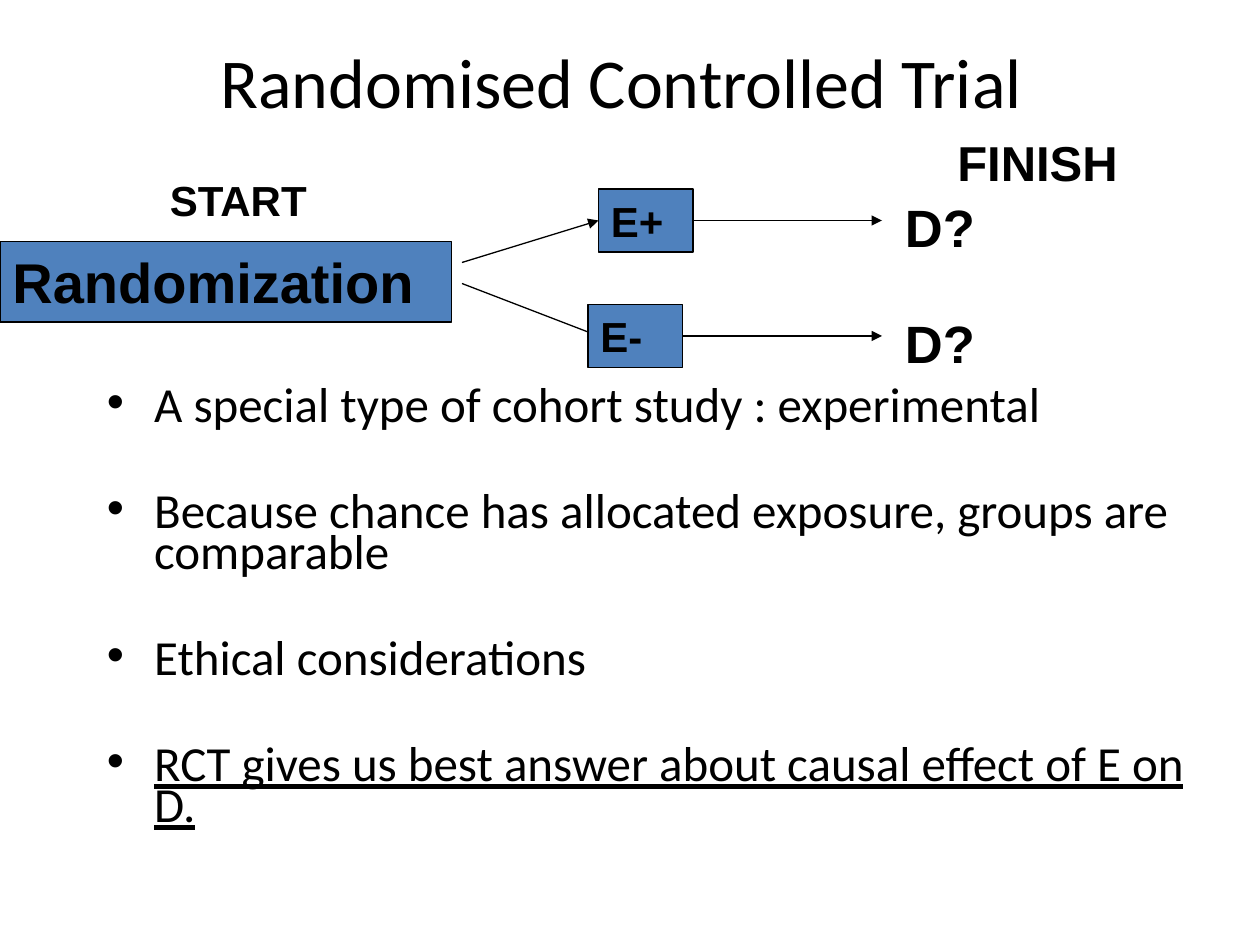
from typing import NamedTuple, Optional

from pptx import Presentation
from pptx import util as u
from pptx.dml.color import RGBColor
from pptx.enum import shapes, text
from pptx.oxml import parse_xml
from pptx.oxml.ns import nsdecls

COLORS = {"ink": "000000", "box": "4F81BD", "page": "FFFFFF"}


class Label(NamedTuple):
    words: str
    left: float
    top: float
    width: float
    height: float
    size: float
    font: str = "Arial"
    bold: bool = True


class Arrow(NamedTuple):
    start: tuple[float, float]
    end: tuple[float, float]


TITLE = Label("Randomised Controlled Trial", 31, 1, 648, 90, 40, "Calibri", False)
CAPTIONS = [
    Label("D?", 510, 108, 66, 43, 30),
    Label("D?", 510, 174, 66, 43, 30),
    Label("FINISH", 540, 72, 132, 41, 28),
    Label("START", 90, 96, 150, 36, 24),
]
RANDOMIZATION = Label("Randomization", 0, 138, 258, 46, 32)
EXPOSED = Label("E+", 342, 108, 54, 36, 24)
UNEXPOSED = Label("E-", 336, 174, 54, 36, 24)
TO_EXPOSED = Arrow((264, 150), (342, 126))
TO_UNEXPOSED = Arrow((264, 162), (342, 192))
EXPOSED_OUTCOME = Arrow((396, 126), (504, 126))
UNEXPOSED_OUTCOME = Arrow((390, 192), (504, 192))
POINTS = [
    "A special type of cohort study : experimental",
    "Because chance has allocated exposure, groups are comparable",
    "Ethical considerations",
    "RCT gives us best answer about causal effect of E on D.",
]


def rgb(name: str) -> RGBColor:
    return RGBColor.from_string(COLORS[name])


def format_runs(paragraph, size: float, font: str, bold: bool) -> None:
    for run in paragraph.runs:
        run.font.size = u.Pt(size)
        run.font.name = font
        run.font.bold = bold
        run.font.color.rgb = rgb("ink")


def write_label(shape, label: Label, align) -> None:
    frame = shape.text_frame
    frame.word_wrap = True
    frame.text = label.words
    frame.paragraphs[0].alignment = align
    format_runs(frame.paragraphs[0], label.size, label.font, label.bold)


def bounds(label: Label) -> list[int]:
    return [u.Pt(v) for v in (label.left, label.top, label.width, label.height)]


def add_caption(slide, label: Label, align=text.PP_ALIGN.LEFT,
                anchor=text.MSO_ANCHOR.TOP) -> None:
    caption = slide.shapes.add_textbox(*bounds(label))
    write_label(caption, label, align)
    caption.text_frame.vertical_anchor = anchor


def add_box(slide, label: Label):
    box = slide.shapes.add_shape(shapes.MSO_SHAPE.RECTANGLE, *bounds(label))
    box.shadow.inherit = False
    box.fill.solid()
    box.fill.fore_color.rgb = rgb("box")
    box.line.color.rgb = rgb("ink")
    box.line.width = u.Pt(0.75)
    write_label(box, label, text.PP_ALIGN.LEFT)
    box.text_frame.vertical_anchor = text.MSO_ANCHOR.TOP
    return box


def add_arrow(slide, arrow: Arrow, source: Optional[object] = None,
              target: Optional[object] = None) -> None:
    connector = slide.shapes.add_connector(
        shapes.MSO_CONNECTOR.STRAIGHT,
        *(u.Pt(v) for v in (*arrow.start, *arrow.end)))
    connector.line.color.rgb = rgb("ink")
    connector.line.width = u.Pt(0.75)
    connector.line._get_or_add_ln().append(
        parse_xml(f'<a:tailEnd {nsdecls("a")} type="triangle"/>'))
    connector._element.spPr.append(parse_xml(f'<a:effectLst {nsdecls("a")}/>'))
    if source is not None:
        connector.begin_connect(source, 3)
    if target is not None:
        connector.end_connect(target, 1)


def add_points(slide, points: list[str]) -> None:
    frame = slide.shapes.add_textbox(
        u.Pt(54), u.Pt(219), u.Pt(630), u.Pt(290)).text_frame
    frame.word_wrap = True
    frame.text = "\n".join(points)
    for index, point in enumerate(frame.paragraphs):
        properties = point._p.get_or_add_pPr()
        properties.set("marL", str(u.Pt(27)))
        properties.set("indent", str(-u.Pt(27)))
        for bullet in ('<a:buFont {} typeface="Arial"/>', '<a:buChar {} char="•"/>'):
            properties.append(parse_xml(bullet.format(nsdecls("a"))))
        point.line_spacing = 0.7
        if index:
            point.space_before = u.Pt(37)
        format_runs(point, 28, "Calibri", False)
    frame.paragraphs[-1].runs[0].font.underline = True


def main() -> None:
    deck = Presentation()
    deck.slide_width, deck.slide_height = u.Pt(720), u.Pt(540)
    slide = deck.slides.add_slide(deck.slide_layouts[6])
    slide.background.fill.solid()
    slide.background.fill.fore_color.rgb = rgb("page")

    add_caption(slide, TITLE, text.PP_ALIGN.CENTER, text.MSO_ANCHOR.MIDDLE)
    add_points(slide, POINTS)
    for caption in CAPTIONS:
        add_caption(slide, caption)
    exposed = add_box(slide, EXPOSED)
    add_box(slide, RANDOMIZATION)
    add_arrow(slide, TO_EXPOSED, target=exposed)
    add_arrow(slide, TO_UNEXPOSED)
    unexposed = add_box(slide, UNEXPOSED)
    add_arrow(slide, EXPOSED_OUTCOME, source=exposed)
    add_arrow(slide, UNEXPOSED_OUTCOME, source=unexposed)
    deck.save("out.pptx")


if __name__ == "__main__":
    main()
